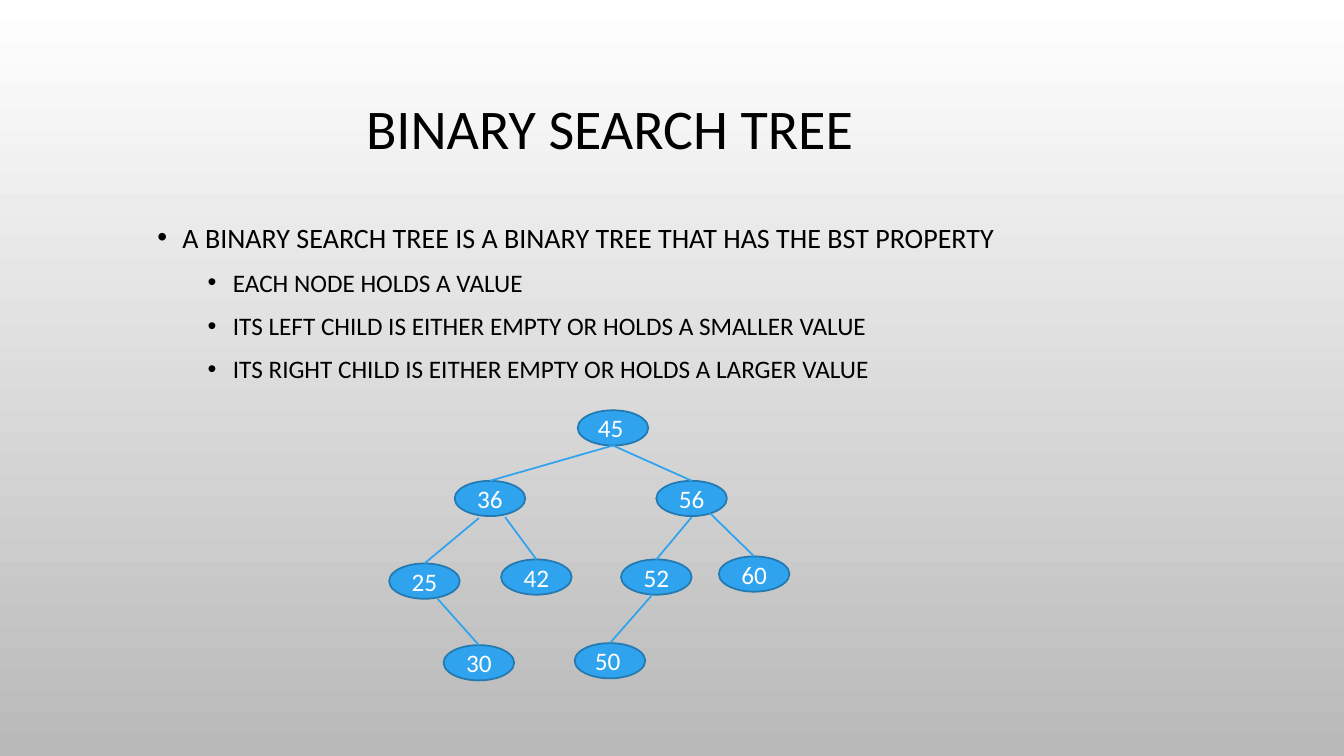
from lxml import etree
from pptx import Presentation
from pptx import util as u
from pptx.dml.color import RGBColor
from pptx.enum import shapes, text
from pptx.oxml.ns import qn

FONT = "Calibri"
BLACK, WHITE, BLUE, DARK_BLUE = "000000", "FFFFFF", "2FA3EE", "2379B0"
NODE_WIDTH, NODE_HEIGHT = 0.7, 0.35

BULLETS = [
    (0, "A BINARY SEARCH TREE IS A BINARY TREE THAT HAS THE BST PROPERTY"),
    (1, "EACH NODE HOLDS A VALUE"),
    (1, "ITS LEFT CHILD IS EITHER EMPTY OR HOLDS A SMALLER VALUE"),
    (1, "ITS RIGHT CHILD IS EITHER EMPTY OR HOLDS A LARGER VALUE"),
]
# Value: left and top of each node within the tree's box
NODES = {
    "45": (1.87, 0), "36": (0.65, 0.7), "56": (2.65, 0.7),
    "25": (0, 1.52), "42": (1.11, 1.48), "52": (2.3, 1.48), "60": (3.27, 1.45),
    "30": (0.54, 2.33), "50": (1.84, 2.31),
}
# Parent, child, and the line's start within the parent's box
EDGES = [
    ("45", "36", 0.35, 0.35), ("45", "56", 0.35, 0.35),
    ("36", "25", 0.24, 0.37), ("36", "42", 0.5, 0.36),
    ("56", "52", 0.35, 0.36), ("56", "60", 0.53, 0.32),
    ("25", "30", 0.48, 0.35), ("52", "50", 0.31, 0.35),
]
LEFT_ALIGNED = ("45", "50")


def color(value):
    return RGBColor.from_string(value)


def place(shape, left, top, width, height):
    shape.left, shape.top = u.Inches(left), u.Inches(top)
    shape.width, shape.height = u.Inches(width), u.Inches(height)


def format_runs(paragraph, size, font_color):
    for run in paragraph.runs:
        run.font.name = FONT
        run.font.size = u.Pt(size)
        run.font.color.rgb = color(font_color)


def add_background(slide):
    fill = slide.background.fill
    fill.gradient()
    fill.gradient_angle = 270
    for stop, value, position in zip(fill.gradient_stops, (WHITE, "B9B9B9"), (0, 1)):
        stop.color.rgb = color(value)
        stop.position = position


def add_title(slide, left, top, width, height):
    title = slide.shapes.title
    place(title, left, top, width, height)
    frame = title.text_frame
    frame.text = "BINARY SEARCH TREE"
    frame.auto_size = text.MSO_AUTO_SIZE.NONE
    frame.vertical_anchor = text.MSO_ANCHOR.MIDDLE
    paragraph = frame.paragraphs[0]
    paragraph.alignment = text.PP_ALIGN.CENTER
    paragraph.line_spacing = 0.9
    format_runs(paragraph, 40, BLACK)


def add_bullet(paragraph, indent):
    properties = paragraph._p.get_or_add_pPr()
    properties.set("marL", str(u.Inches(indent)))
    properties.set("indent", str(u.Inches(-0.25)))
    etree.SubElement(properties, qn("a:buFont")).set("typeface", "Arial")
    etree.SubElement(properties, qn("a:buChar")).set("char", "•")


def add_body(slide, left, top, width, height):
    body = slide.placeholders[1]
    place(body, left, top, width, height)
    frame = body.text_frame
    frame.text = "\n".join(line for _, line in BULLETS)
    frame.auto_size = text.MSO_AUTO_SIZE.NONE
    frame.vertical_anchor = text.MSO_ANCHOR.TOP
    for paragraph, (level, _) in zip(frame.paragraphs, BULLETS):
        paragraph.level = level
        add_bullet(paragraph, 0.25 + 0.5 * level)
        paragraph.line_spacing = 1.2
        paragraph.space_before = u.Pt(5 * level)
        format_runs(paragraph, 20 - 2 * level, BLACK)


def add_node(slide, value, left, top):
    node = slide.shapes.add_shape(
        shapes.MSO_SHAPE.OVAL, u.Inches(left), u.Inches(top),
        u.Inches(NODE_WIDTH), u.Inches(NODE_HEIGHT))
    node.shadow.inherit = False
    node.fill.solid()
    node.fill.fore_color.rgb = color(BLUE)
    node.line.color.rgb = color(DARK_BLUE)
    node.line.width = u.Pt(1.25)
    frame = node.text_frame
    frame.text = value
    frame.vertical_anchor = text.MSO_ANCHOR.MIDDLE
    paragraph = frame.paragraphs[0]
    align = text.PP_ALIGN
    paragraph.alignment = align.LEFT if value in LEFT_ALIGNED else align.CENTER
    format_runs(paragraph, 18, WHITE)
    return node


def add_edge(slide, parent, child, start_x, start_y):
    """Draw a line from a point of the parent's box to the child's top."""
    x, y = parent.left + u.Inches(start_x), parent.top + u.Inches(start_y)
    edge = slide.shapes.add_connector(shapes.MSO_CONNECTOR.STRAIGHT, x, y, x, y)
    edge.end_connect(child, 0)
    edge.line.color.rgb = color(BLUE)
    edge.line.width = u.Pt(1.25)
    etree.SubElement(edge._element.spPr, qn("a:effectLst"))


def add_tree(slide, left, top):
    nodes = {value: add_node(slide, value, left + x, top + y)
             for value, (x, y) in NODES.items()}
    for parent, child, start_x, start_y in EDGES:
        add_edge(slide, nodes[parent], nodes[child], start_x, start_y)


def main():
    presentation = Presentation()
    presentation.slide_width = u.Inches(13.33)
    presentation.slide_height = u.Inches(7.5)
    slide = presentation.slides.add_slide(presentation.slide_layouts[1])
    add_background(slide)
    add_title(slide, 0.38, 0.43, 11.33, 1.75)
    add_body(slide, 1.46, 2.07, 11.33, 3.74)
    add_tree(slide, 3.86, 4.07)
    presentation.save("out.pptx")


if __name__ == "__main__":
    main()
